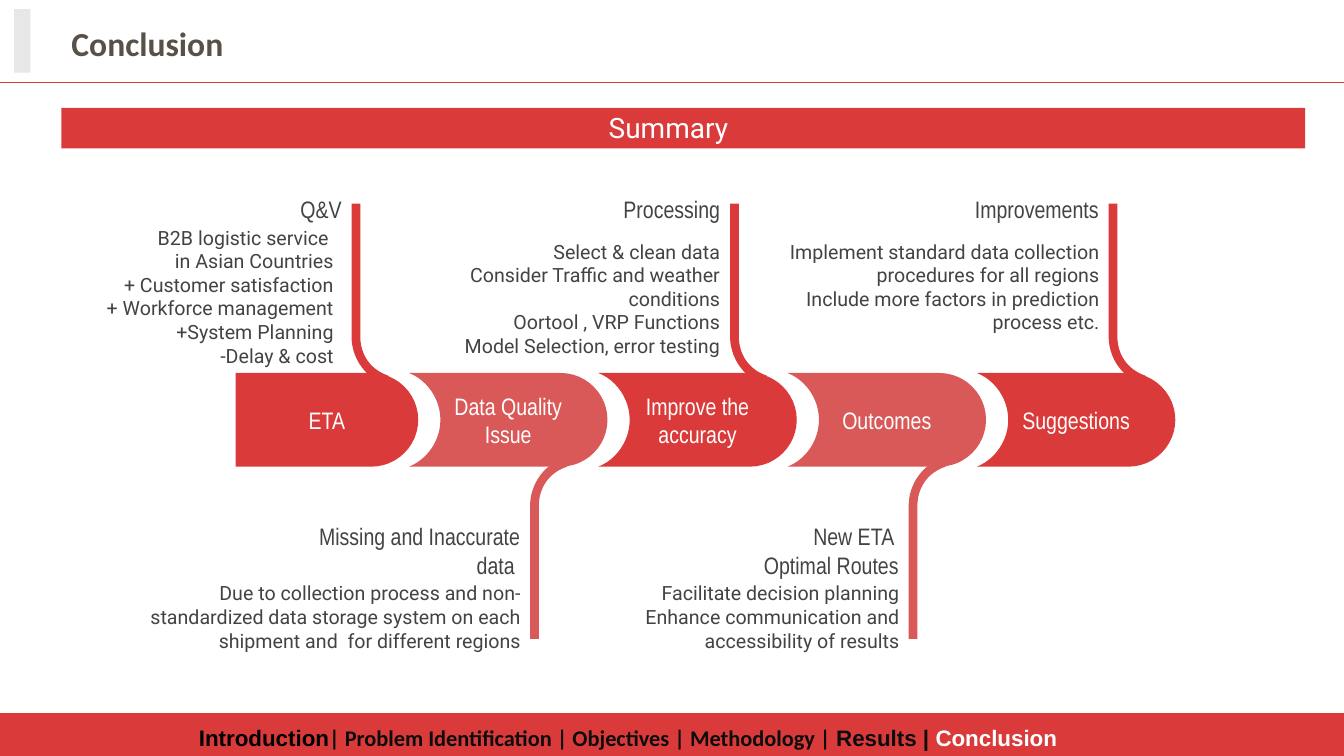
from lxml import etree
from pptx import Presentation
from pptx.dml.color import RGBColor
from pptx.enum import shapes, text
from pptx.oxml import ns
from pptx.util import Cm, Pt

COLORS = {"red": "DA3B3A", "rose": "D95959", "title": "585147", "body": "434343",
          "white": "FFFFFF", "black": "000000", "ink": "0D0D0D", "tab": "E7E7E7"}

TITLE = "Conclusion"
BANNER = "Summary "
# label, heading lines, detail lines, detail box (right offset from stem, top, width, height)
STEPS = [
    (["ETA"], ["Q&V"],
     ["B2B logistic service ", "in Asian Countries", "+ Customer satisfaction",
      "+ Workforce management", "+System Planning", "-Delay & cost"],
     (-0.2, 5.44, 8.08, 2.21)),
    (["Data Quality", "Issue"], ["Missing and Inaccurate data "],
     ["Due to collection process and non-standardized data storage system on each "
      "shipment and  for different regions"],
     (0.02, 14.4, 10.36, 3.02)),
    (["Improve the accuracy"], ["Processing"],
     ["Select & clean data", "Consider Traffic and weather conditions",
      "Oortool , VRP Functions", "Model Selection, error testing"],
     (0, 5.79, 7.29, 3.07)),
    (["Outcomes"], ["New ETA ", "Optimal Routes"],
     ["Facilitate decision planning",
      "Enhance communication and accessibility of results"],
     (0.02, 14.4, 8.64, 2.16)),
    (["Suggestions"], ["Improvements"],
     ["Implement standard data collection procedures for all regions",
      "Include more factors in prediction process etc."],
     (0.02, 5.79, 9.02, 2.16)),
]
AGENDA = [("Introduction", "Arial", "black"),
          ("| Problem Identification | Objectives | Methodology | ", "Calibri", "ink"),
          ("Results | ", "Arial", "ink"),
          ("Conclusion ", "Arial", "white")]

# Outlines in cm: pairs are corners, six numbers are a Bezier curve
ROUND_END = [(3.82, 2.36), (4.47, 2.36, 5, 1.83, 5, 1.18), (5, 0.53, 4.47, 0, 3.82, 0)]
FIRST_BODY = [(0.4, 0), (0.4, 2.36)] + ROUND_END
BODY = [(0, 0), (0.46, 0.18, 0.79, 0.66, 0.79, 1.18),
        (0.79, 1.7, 0.46, 2.18, 0, 2.36)] + ROUND_END
STEM = [(0, 5.13), (0, 8.48), (0, 8.97, 0.28, 9.42, 0.71, 9.63), (0.93, 9.63),
        (0.93, 9.47), (0.48, 9.32, 0.22, 8.94, 0.22, 8.48), (0.22, 5.13)]
FIRST_LEFT, PITCH, BODY_TOP = 5.54, 4.77, 9.4
STEM_MIRROR = 21.23
CURVE_STEPS = 12

prs = Presentation()
prs.slide_width, prs.slide_height = Cm(33.87), Cm(19.05)
slide = prs.slides.add_slide(prs.slide_layouts[5])


def rgb(name):
    return RGBColor.from_string(COLORS[name])


def paint(shape, color):
    shape.shadow.inherit = False
    shape.fill.solid()
    shape.fill.fore_color.rgb = rgb(color)
    shape.line.fill.background()


def write(shape, lines, font, size, color, align, inset=0.25,
          anchor=text.MSO_ANCHOR.TOP, bold=False):
    frame = shape.text_frame
    frame.word_wrap = True
    frame.vertical_anchor = anchor
    frame.margin_left = frame.margin_right = Cm(inset)
    frame.margin_top = frame.margin_bottom = Cm(inset)
    frame.text = "\n".join(lines)
    for paragraph in frame.paragraphs:
        paragraph.alignment = align
        paragraph.font.name, paragraph.font.size = font, Pt(size)
        paragraph.font.bold = bold
        paragraph.font.color.rgb = rgb(color)


def add_box(left, top, width, height):
    return slide.shapes.add_textbox(Cm(left), Cm(top), Cm(width), Cm(height))


def add_rect(left, top, width, height, color):
    rect = slide.shapes.add_shape(shapes.MSO_SHAPE.RECTANGLE,
                                  Cm(left), Cm(top), Cm(width), Cm(height))
    paint(rect, color)


def flatten(outline):
    """Turn corners and Bezier curves into plain points."""
    points = []
    for part in outline:
        if len(part) == 2:
            points.append(part)
            continue
        start = points[-1]
        for step in range(1, CURVE_STEPS + 1):
            t = step / CURVE_STEPS
            s = 1 - t
            points.append(tuple(
                s**3 * start[k] + 3 * s * s * t * part[k]
                + 3 * s * t * t * part[k + 2] + t**3 * part[k + 4] for k in (0, 1)))
    return points


def add_outline(points, color):
    corners = [(Cm(x), Cm(y)) for x, y in points]
    builder = slide.shapes.build_freeform(*corners[0])
    builder.add_line_segments(corners[1:], close=True)
    shape = builder.convert_to_shape()
    paint(shape, color)
    return shape


def add_step(index, label, heading, details, detail_box):
    left = FIRST_LEFT + index * PITCH
    below = index % 2 == 1
    color = "rose" if below else "red"
    stem_x = left + (3.05 if below else 3.32)
    add_outline([(stem_x + x, STEM_MIRROR - y if below else y)
                 for x, y in flatten(STEM)], color)
    body = add_outline([(left + x, BODY_TOP + y)
                        for x, y in flatten(BODY if index else FIRST_BODY)], color)
    middle, right = text.MSO_ANCHOR.MIDDLE, text.PP_ALIGN.RIGHT
    write(body, label, "Arial Narrow", 17, "white", text.PP_ALIGN.CENTER, anchor=middle)
    shift, top, width, height = detail_box
    write(add_box(stem_x + shift - width, top, width, height),
          details, "Roboto", 14, "body", right)
    heading_top, heading_width = (13, 5.64) if below else (4.39, 5.26)
    write(add_box(stem_x - heading_width, heading_top, heading_width, 1.73),
          heading, "Arial Narrow", 17, "body", right, anchor=middle)


def add_agenda():
    table = slide.shapes.add_table(1, 2, Cm(-0.15), Cm(17.96), Cm(34.75), Cm(1.3)).table
    table.first_row = table.horz_banding = False
    style = table._tbl.tblPr.find(ns.qn("a:tableStyleId"))
    style.text = "{2D5ABB26-0587-4C30-8999-92F81FD0307C}"
    table.columns[0].width, table.columns[1].width = Cm(32.11), Cm(2.64)
    for cell in table.iter_cells():
        cell.fill.solid()
        cell.fill.fore_color.rgb = rgb("red")
    cell = table.cell(0, 0)
    cell.vertical_anchor = text.MSO_ANCHOR.MIDDLE
    paragraph = cell.text_frame.paragraphs[0]
    paragraph.alignment = text.PP_ALIGN.CENTER
    paragraph.font.size, paragraph.font.bold = Pt(16), True
    for words, font, color in AGENDA:
        run = paragraph.add_run()
        run.text, run.font.name = words, font
        run.font.color.rgb = rgb(color)


title = slide.shapes.title
title.left, title.top, title.width, title.height = Cm(1.55), Cm(0.2), Cm(28), Cm(1.78)
write(title, [TITLE], "Calibri", 24, "title", text.PP_ALIGN.LEFT,
      anchor=text.MSO_ANCHOR.MIDDLE, bold=True)

rule = slide.shapes.add_connector(shapes.MSO_CONNECTOR.STRAIGHT,
                                  0, Cm(2.08), prs.slide_width, Cm(2.08))
rule.line.color.rgb, rule.line.width = rgb("red"), Pt(0.75)
etree.SubElement(rule._element.spPr, ns.qn("a:effectLst"))

add_rect(1.55, 2.72, 31.34, 1.02, "red")
add_agenda()
add_rect(0.36, 0.23, 0.41, 1.6, "tab")
for index, step in enumerate(STEPS):
    add_step(index, *step)
write(add_box(7.26, 2.46, 19.35, 1.27), [BANNER], "Roboto", 20, "white",
      text.PP_ALIGN.CENTER, inset=0.33)

prs.save("out.pptx")
